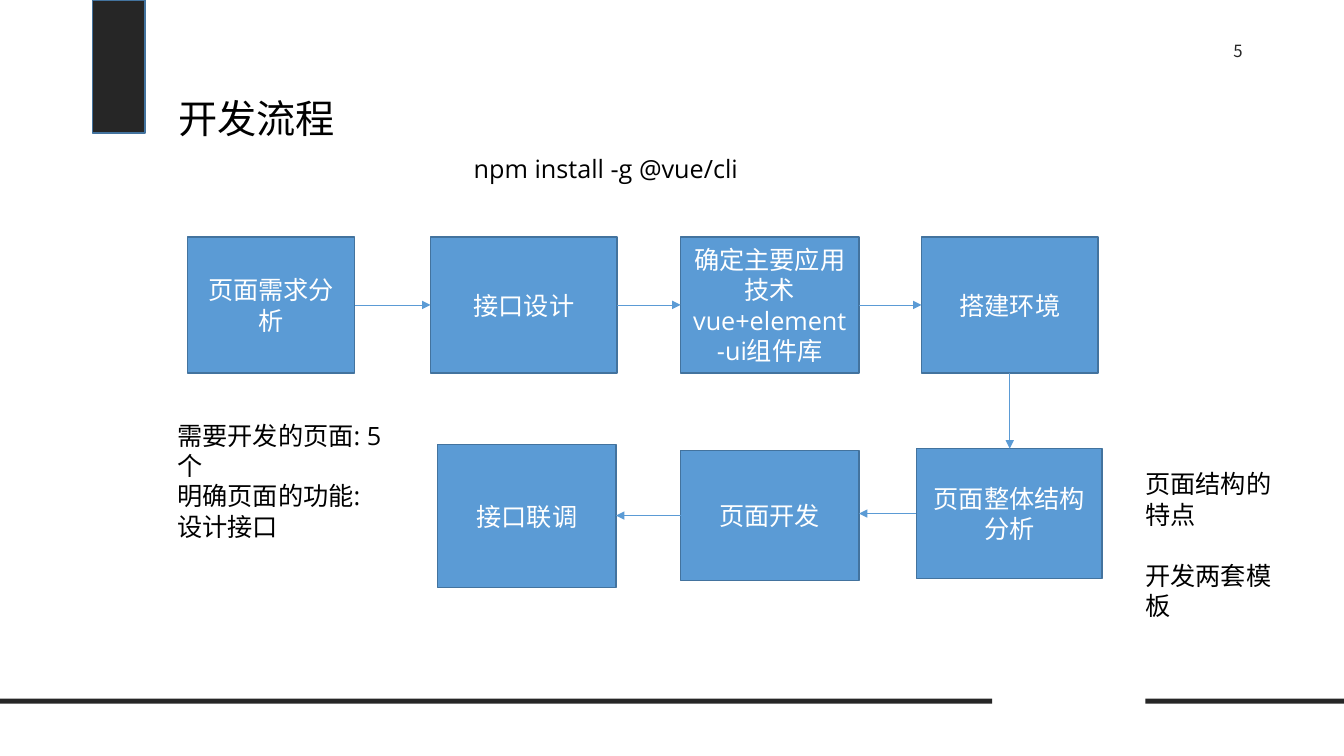
from lxml import etree
from pptx import Presentation
from pptx.dml.color import RGBColor
from pptx.enum.shapes import MSO_CONNECTOR, MSO_SHAPE
from pptx.enum.text import MSO_ANCHOR, PP_ALIGN
from pptx.oxml.ns import qn
from pptx.util import Inches, Pt

RECT, STRAIGHT = MSO_SHAPE.RECTANGLE, MSO_CONNECTOR.STRAIGHT
LEFT, CENTER = PP_ALIGN.LEFT, PP_ALIGN.CENTER
TOP, MIDDLE, BOTTOM = MSO_ANCHOR.TOP, MSO_ANCHOR.MIDDLE, MSO_ANCHOR.BOTTOM
BLACK, WHITE = RGBColor(0, 0, 0), RGBColor(255, 255, 255)
DARK = RGBColor(0x26, 0x26, 0x26)
BLUE = RGBColor(0x5B, 0x9B, 0xD5)
EDGE = RGBColor(0x43, 0x73, 0x9E)
LATIN, CJK = "Open Sans", "Noto Sans CJK SC"

# Connection sites of a rectangle
SITE_TOP, SITE_LEFT, SITE_BOTTOM, SITE_RIGHT = range(4)


def add_rect(box, fill, line=None):
    """Add a flat rectangle at box (left, top, width, height)."""
    sp = s.shapes.add_shape(RECT, *map(Inches, box))
    sp.shadow.inherit = False
    sp.fill.solid()
    sp.fill.fore_color.rgb = fill
    if line is None:
        sp.line.fill.background()
    else:
        sp.line.color.rgb = line
        sp.line.width = Pt(1)
    return sp


def write(sp, lines, size=18, color=BLACK, font=LATIN, align=LEFT, anchor=TOP, gap=0):
    """Fill a shape with one paragraph per line, gap points apart."""
    tf = sp.text_frame
    tf.word_wrap = True
    tf.vertical_anchor = anchor
    for i, text in enumerate(lines):
        p = tf.paragraphs[0] if i == 0 else tf.add_paragraph()
        p.alignment = align
        p.space_before = Pt(gap if i else 0)
        r = p.add_run()
        r.text = text
        for name, value in {"size": Pt(size), "name": font}.items():
            setattr(r.font, name, value)
        r.font.color.rgb = color
        etree.SubElement(r.font._element, qn("a:ea"), typeface=CJK)


prs = Presentation()
prs.slide_width, prs.slide_height = Inches(13.33), Inches(7.5)
s = prs.slides.add_slide(prs.slide_layouts[6])

# Corner block and footer bars
add_rect((0.92, 0, 0.52, 1.32), DARK, EDGE)
for left, width in [(0, 9.84), (11.36, 1.97)]:
    add_rect((left, 6.93, width, 0.05), DARK)

# Page number, title and notes
texts = [
    ((11.83, 0.36, 0.9, 0.4), ["5"],
     dict(size=12, color=DARK, font=CJK, align=CENTER)),
    ((1.67, 0.62, 10, 0.83), ["开发流程"], dict(size=28, font=CJK, anchor=BOTTOM)),
    ((1.66, 4.12, 2.23, 1.31), ["需要开发的页面: 5个", "明确页面的功能:设计接口"], {}),
    ((11.26, 4.6, 1.55, 1.92), ["页面结构的特点", "开发两套模板"], dict(gap=22)),
    ((4.6, 1.47, 6.92, 0.4), ["npm install -g @vue/cli"], {}),
]
for box, lines, style in texts:
    write(s.shapes.add_textbox(*map(Inches, box)), lines, **style)

# Process steps in flow order
steps = [
    ((1.86, 2.35, 1.66, 1.35), ["页面需求分析"]),
    ((4.27, 2.35, 1.85, 1.35), ["接口设计"]),
    ((6.75, 2.35, 1.77, 1.35), ["确定主要应用技术", "vue+element-ui组件库"]),
    ((9.14, 2.35, 1.75, 1.35), ["搭建环境"]),
    ((9.09, 4.45, 1.84, 1.29), ["页面整体结构分析"]),
    ((6.75, 4.47, 1.77, 1.29), ["页面开发"]),
    ((4.34, 4.41, 1.77, 1.42), ["接口联调"]),
]
boxes = []
for box, lines in steps:
    sp = add_rect(box, BLUE, EDGE)
    write(sp, lines, color=WHITE, align=CENTER, anchor=MIDDLE)
    boxes.append(sp)

# Arrows run right along the top row, down, then left along the bottom row
right, down, left = (SITE_RIGHT, SITE_LEFT), (SITE_BOTTOM, SITE_TOP), (SITE_LEFT, SITE_RIGHT)
routes = [right] * 3 + [down] + [left] * 2
for a, b, (start, end) in zip(boxes, boxes[1:], routes):
    arrow = s.shapes.add_connector(STRAIGHT, 0, 0, 0, 0)
    arrow.begin_connect(a, start)
    arrow.end_connect(b, end)
    if start == SITE_BOTTOM:
        arrow.end_x = arrow.begin_x
    else:
        arrow.end_y = arrow.begin_y
    arrow.line.color.rgb = BLUE
    arrow.line.width = Pt(0.5)
    etree.SubElement(arrow.line._get_or_add_ln(), qn("a:tailEnd"), type="triangle")
    etree.SubElement(arrow._element.spPr, qn("a:effectLst"))

prs.save("out.pptx")
